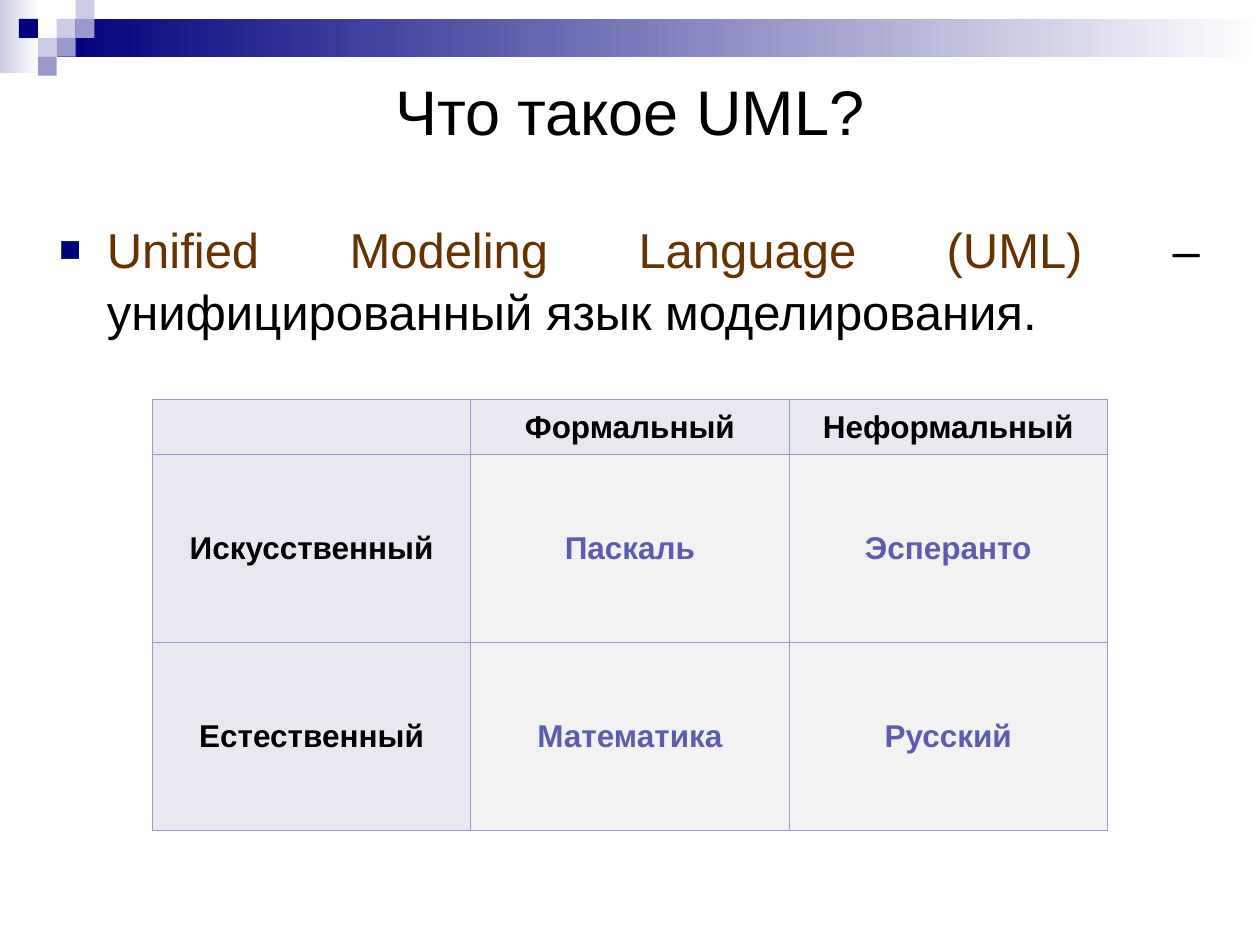
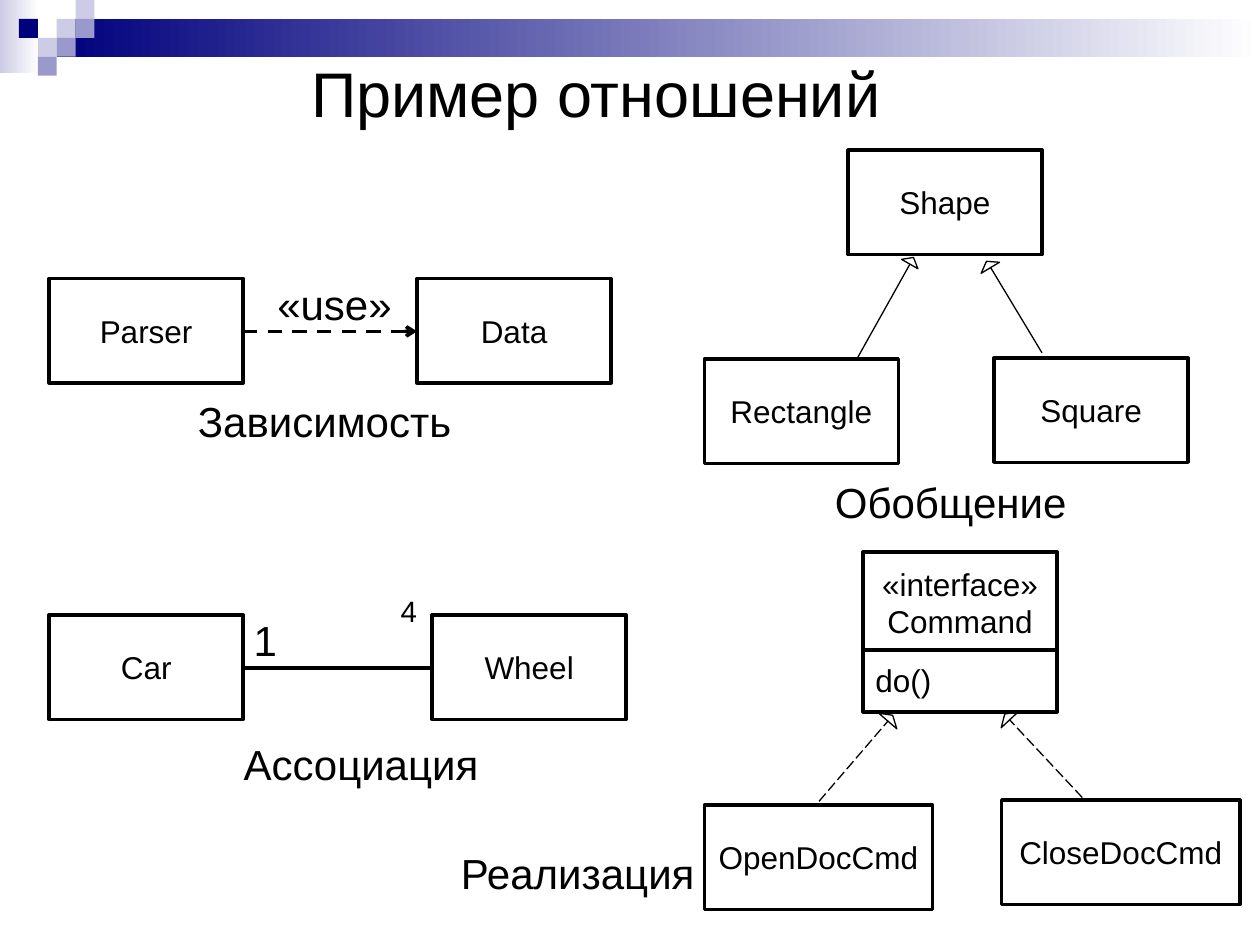
from typing import NamedTuple, Optional

from lxml.etree import SubElement
from pptx import Presentation
from pptx.dml.color import RGBColor
from pptx.enum.dml import MSO_LINE
from pptx.enum.shapes import MSO_CONNECTOR as CONN, MSO_SHAPE as SHAPE
from pptx.enum.text import MSO_ANCHOR as ANCHOR, PP_ALIGN as ALIGN
from pptx.oxml.ns import qn
from pptx.util import Inches, Pt

FONT = "Arial"
NAVY = RGBColor(0x00, 0x00, 0x7D)
LILAC = RGBColor(0x99, 0x99, 0xCC)
PALE = RGBColor(0xCC, 0xCC, 0xE6)
WHITE = RGBColor(0xFF, 0xFF, 0xFF)
BLACK = RGBColor(0x00, 0x00, 0x00)
BROWN = RGBColor(0x66, 0x33, 0x00)
VIOLET = RGBColor(0x5D, 0x5D, 0xAE)
HEAD_FILL = RGBColor(0xE8, 0xE8, 0xF1)
CELL_FILL = RGBColor(0xF2, 0xF2, 0xF2)

SQUARE = 0.15


class Square(NamedTuple):
    col: int
    row: int
    color: RGBColor


class Band(NamedTuple):
    x: float
    y: float
    w: float
    h: float
    start: RGBColor


class ClassBox(NamedTuple):
    name: str
    x: float
    y: float
    w: float = 1.54


class Caption(NamedTuple):
    text: str
    x: float
    y: float
    w: float = 4.15
    h: float = 0.74
    size: float = 24


class Link(NamedTuple):
    x1: float
    y1: float
    x2: float
    y2: float
    width: float = 2
    dash: Optional[MSO_LINE] = None
    arrow: bool = False


class Head(NamedTuple):
    x: float
    y: float
    w: float
    angle: float


BANDS = [Band(0, 0, 0.31, 0.58, PALE), Band(0.45, 0.15, 9.55, 0.3, NAVY)]
SQUARES = [
    Square(3, 1, PALE), Square(4, 0, PALE), Square(4, 1, LILAC),
    Square(2, 2, PALE), Square(1, 1, NAVY), Square(3, 2, LILAC),
    Square(2, 3, LILAC),
]
LANGUAGES = [
    ["", "Формальный", "Неформальный"],
    ["Искусственный", "Паскаль", "Эсперанто"],
    ["Естественный", "Математика", "Русский"],
]
CLASSES = [
    ClassBox("Parser", 0.39, 2.21), ClassBox("Data", 3.31, 2.21),
    ClassBox("Car", 0.39, 4.88), ClassBox("Wheel", 3.43, 4.88),
    ClassBox("Shape", 6.73, 1.19), ClassBox("Rectangle", 5.59, 2.85),
    ClassBox("Square", 7.89, 2.84), ClassBox("OpenDocCmd", 5.59, 6.39, 1.81),
    ClassBox("CloseDocCmd", 7.95, 6.35, 1.89),
]
LINKS = [
    Link(1.93, 2.63, 3.31, 2.63, dash=MSO_LINE.DASH, arrow=True),
    Link(1.93, 5.3, 3.43, 5.3),
    Link(6.86, 5.16, 8.39, 5.16),
    Link(8.27, 2.8, 7.86, 2.12, 0.75),
    Link(6.8, 2.85, 7.22, 2.1, 0.75),
    Link(6.5, 6.36, 7.05, 5.72, 0.75, MSO_LINE.LONG_DASH),
    Link(8.59, 6.33, 8.01, 5.71, 0.75, MSO_LINE.LONG_DASH),
]
HEADS = [
    Head(7.76, 2.07, 0.17, 329), Head(7.16, 2.04, 0.15, 29.7),
    Head(6.97, 5.67, 0.19, 40.7), Head(7.9, 5.66, 0.19, 317),
]
CAPTIONS = [
    Caption("Зависимость", 0.5, 3.09), Caption("«use»", 0.58, 2.16),
    Caption("Ассоциация", 0.79, 5.81), Caption("1", 0.03, 4.83),
    Caption("4", 2.63, 4.66, 1.23, 0.35, 16.8),
    Caption("Обобщение", 5.47, 3.73), Caption("Реализация", 2.51, 6.68),
]


def style(p, size: float, color: RGBColor = BLACK, bold: bool = False) -> None:
    for r in p.runs:
        r.font.name, r.font.size, r.font.bold = FONT, Pt(size), bold
        r.font.color.rgb = color


def add_box(s, kind, x: float, y: float, w: float, h: float):
    sp = s.shapes.add_shape(kind, Inches(x), Inches(y), Inches(w), Inches(h))
    sp.shadow.inherit = False
    return sp


def add_text(s, text: str, x: float, y: float, w: float, h: float, size: float,
             align=ALIGN.CENTER, anchor=ANCHOR.TOP):
    tf = s.shapes.add_textbox(Inches(x), Inches(y), Inches(w), Inches(h)).text_frame
    tf.word_wrap, tf.vertical_anchor = True, anchor
    p = tf.paragraphs[0]
    p.text, p.alignment = text, align
    style(p, size)
    return p


def add_themed_slide(prs):
    """Add a blank slide with the gradient band and the corner mosaic."""
    s = prs.slides.add_slide(prs.slide_layouts[6])
    for band in BANDS:
        sp = add_box(s, SHAPE.RECTANGLE, band.x, band.y, band.w, band.h)
        sp.line.fill.background()
        sp.fill.gradient()
        sp.fill.gradient_angle = 0
        for stop, color in zip(sp.fill.gradient_stops, (band.start, WHITE)):
            stop.color.rgb = color
    for sq in SQUARES:
        sp = add_box(s, SHAPE.RECTANGLE, sq.col * SQUARE, sq.row * SQUARE, SQUARE, SQUARE)
        sp.fill.solid()
        sp.fill.fore_color.rgb = sq.color
        sp.line.fill.background()
    return s


def add_title(s, text: str, x: float, y: float, w: float, h: float, align) -> None:
    add_text(s, text, x, y, w, h, 36, align, ANCHOR.MIDDLE)


def set_bullet(p, color: RGBColor, indent: float) -> None:
    pPr = p._p.get_or_add_pPr()
    pPr.set("marL", str(Inches(indent)))
    pPr.set("indent", str(-Inches(indent)))
    SubElement(SubElement(pPr, qn("a:buClr")), qn("a:srgbClr"), val=str(color))
    SubElement(pPr, qn("a:buSzPct"), val="75000")
    SubElement(pPr, qn("a:buFont"), typeface=FONT)
    SubElement(pPr, qn("a:buChar"), char="■")


def set_borders(cell, color: RGBColor, width: float) -> None:
    tcPr = cell._tc.get_or_add_tcPr()
    for i, side in enumerate(("lnL", "lnR", "lnT", "lnB")):
        ln = tcPr.makeelement(qn(f"a:{side}"), {"w": str(Pt(width))})
        SubElement(SubElement(ln, qn("a:solidFill")), qn("a:srgbClr"), val=str(color))
        tcPr.insert(i, ln)


def add_language_table(s) -> None:
    frame = s.shapes.add_table(3, 3, Inches(1.21), Inches(3.17), Inches(7.58), Inches(3.42))
    table = frame.table
    table.first_row = table.horz_banding = False
    for col in table.columns:
        col.width = Inches(7.58 / 3)
    for row, height in zip(table.rows, (0.44, 1.49, 1.49)):
        row.height = Inches(height)
    for i, texts in enumerate(LANGUAGES):
        for j, text in enumerate(texts):
            is_head = i == 0 or j == 0
            cell = table.cell(i, j)
            cell.text, cell.vertical_anchor = text, ANCHOR.MIDDLE
            cell.fill.solid()
            cell.fill.fore_color.rgb = HEAD_FILL if is_head else CELL_FILL
            set_borders(cell, LILAC, 0.45)
            p = cell.text_frame.paragraphs[0]
            p.alignment = ALIGN.CENTER
            style(p, 18, BLACK if is_head else VIOLET, True)


def add_class(s, box: ClassBox, h: float = 0.83):
    sp = add_box(s, SHAPE.RECTANGLE, box.x, box.y, box.w, h)
    sp.fill.solid()
    sp.fill.fore_color.rgb = WHITE
    sp.line.color.rgb, sp.line.width = BLACK, Pt(2)
    tf = sp.text_frame
    tf.text, tf.word_wrap, tf.vertical_anchor = box.name, True, ANCHOR.MIDDLE
    for p in tf.paragraphs:
        p.alignment = ALIGN.CENTER
        style(p, 18)
    return tf


def add_link(s, link: Link) -> None:
    cn = s.shapes.add_connector(CONN.STRAIGHT, Inches(link.x1), Inches(link.y1),
                                Inches(link.x2), Inches(link.y2))
    cn.line.color.rgb, cn.line.width = BLACK, Pt(link.width)
    if link.dash:
        cn.line.dash_style = link.dash
    if link.arrow:
        SubElement(cn.line._get_or_add_ln(), qn("a:tailEnd"), type="arrow")
    SubElement(cn._element.spPr, qn("a:effectLst"))


def add_head(s, head: Head) -> None:
    sp = add_box(s, SHAPE.ISOSCELES_TRIANGLE, head.x, head.y, head.w, 0.06)
    sp.rotation = head.angle
    sp.fill.background()
    sp.line.color.rgb, sp.line.width = BLACK, Pt(0.75)


def build_definition(prs) -> None:
    s = add_themed_slide(prs)
    add_title(s, "Что такое UML?", 0.5, 0.5, 9, 0.75, ALIGN.CENTER)
    p = add_text(s, "Unified Modeling Language (UML) ", 0.37, 1.67, 9.25, 1.08, 28,
                 ALIGN.JUSTIFY)
    p.line_spacing = 1.05
    set_bullet(p, NAVY, 0.38)
    p.add_run().text = "– унифицированный язык моделирования."
    style(p, 28)
    p.runs[0].font.color.rgb = BROWN
    add_language_table(s)


def build_relations(prs) -> None:
    s = add_themed_slide(prs)
    add_title(s, "Пример отношений", 2.37, 0.22, 5.29, 1.02, ALIGN.LEFT)
    for box in CLASSES:
        add_class(s, box)
    interface = add_class(s, ClassBox("«interface»\nCommand\ndo()", 6.85, 4.38), 1.27)
    _, name, method = interface.paragraphs
    name.space_after = Pt(12)
    method.alignment = ALIGN.LEFT
    for link in LINKS:
        add_link(s, link)
    for head in HEADS:
        add_head(s, head)
    for c in CAPTIONS:
        add_text(s, c.text, c.x, c.y, c.w, c.h, c.size)


def main() -> None:
    prs = Presentation()
    prs.slide_width, prs.slide_height = Inches(10), Inches(7.5)
    build_definition(prs)
    build_relations(prs)
    prs.save("out.pptx")


if __name__ == "__main__":
    main()
